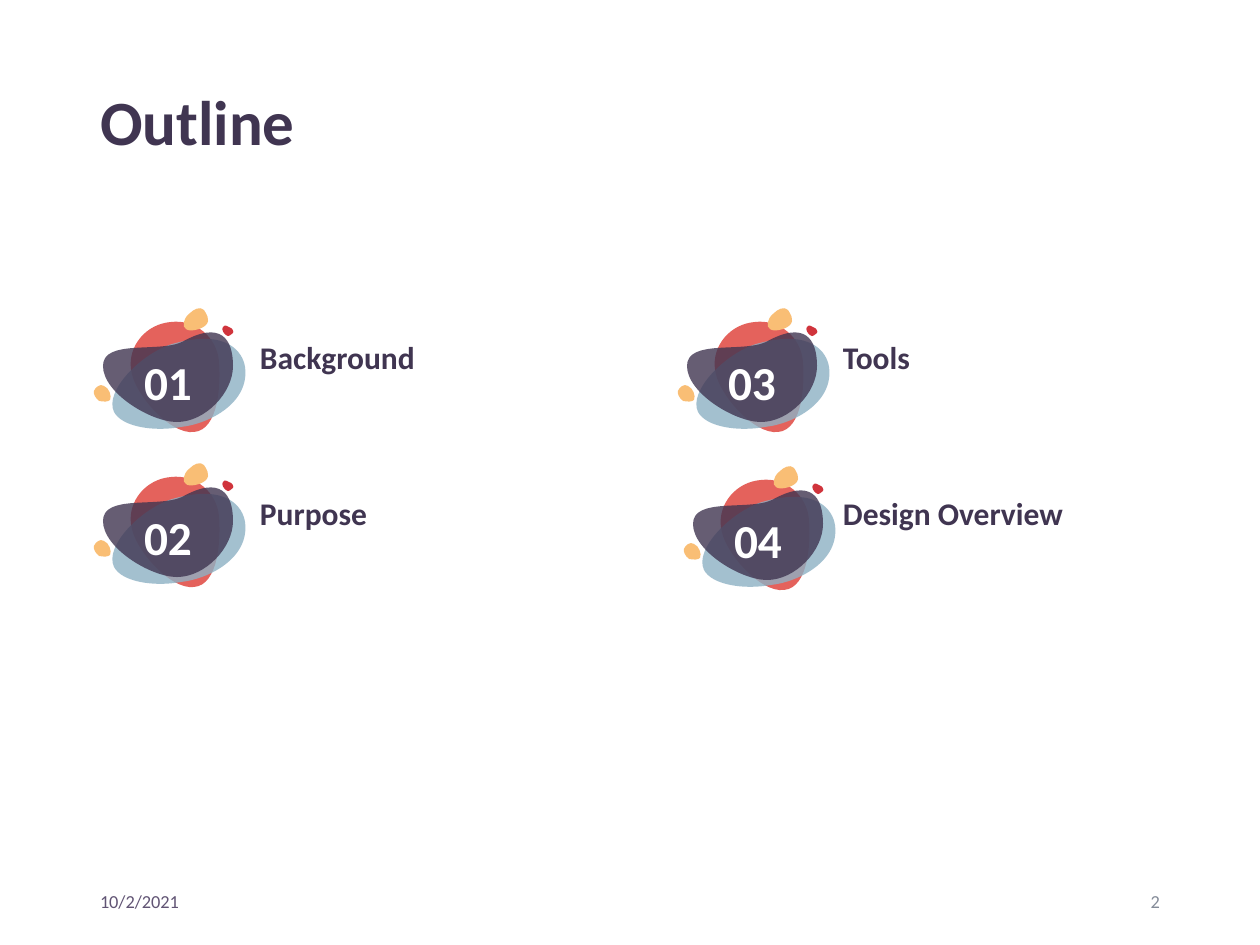
from lxml.etree import SubElement
from pptx import Presentation
from pptx.dml.color import RGBColor
from pptx.enum.text import MSO_ANCHOR, MSO_AUTO_SIZE, PP_ALIGN
from pptx.oxml.ns import qn
from pptx.util import Pt

PX = 914400 // 126

DARK = RGBColor(0x40, 0x35, 0x51)
CORAL = RGBColor(0xE4, 0x62, 0x5C)
BLUE = RGBColor(0x8D, 0xB1, 0xC4)
AMBER = RGBColor(0xF9, 0xBE, 0x75)
RED = RGBColor(0xD0, 0x34, 0x3C)
WHITE = RGBColor(0xFF, 0xFF, 0xFF)
PURPLE = RGBColor(0x61, 0x54, 0x74)
GREY = RGBColor(0x84, 0x8B, 0x98)

# Badge outlines: colour, opacity in percent, then a start point followed by
# two control points and an end point for each curve.
BLOBS = [
    (CORAL, 100, [(37, 60), (39, 84), (76, 126), (100, 123), (125, 121), (127, 74), (125, 52),
                  (123, 28), (101, 10), (77, 13), (52, 15), (34, 37), (37, 60)]),
    (BLUE, 80, [(20, 103), (28, 118), (60, 123), (87, 118), (115, 115), (156, 94), (151, 58),
                (149, 44), (134, 19), (78, 35), (47, 45), (10, 82), (20, 103)]),
    (DARK, 80, [(9, 57), (9, 84), (57, 113), (83, 113), (111, 113), (139, 84), (139, 57),
                (139, 30), (127, 11), (88, 33), (64, 44), (9, 30), (9, 57)]),
    (AMBER, 100, [(92, 20), (95, 23), (107, 21), (112, 16), (117, 11), (112, 4), (110, 1),
                  (106, -3), (100, 0), (95, 5), (89, 10), (88, 18), (92, 20)]),
    (AMBER, 100, [(16, 91), (18, 87), (15, 79), (10, 77), (6, 74), (1, 79), (0, 82),
                  (-1, 84), (1, 89), (5, 92), (10, 93), (14, 93), (16, 91)]),
    (RED, 100, [(129, 18), (127, 20), (130, 25), (132, 26), (135, 29), (137, 25), (139, 24),
                (140, 23), (139, 19), (135, 18), (132, 16), (129, 16), (129, 18)]),
]

# Number, label, badge corner, label corner
ITEMS = [
    ("01", "Background", (94, 309), (247, 319)),
    ("02", "Purpose", (94, 464), (247, 475)),
    ("03", "Tools", (678, 309), (830, 319)),
    ("04", "Design Overview", (684, 467), (830, 475)),
]


def write(sp, text, size, color, bold=False, align=PP_ALIGN.LEFT,
          anchor=MSO_ANCHOR.MIDDLE, insets=(13, 6, 13, 6)):
    """Put one formatted run into a shape and return its paragraph."""
    tf = sp.text_frame
    tf.word_wrap = True
    tf.auto_size = MSO_AUTO_SIZE.NONE
    tf.vertical_anchor = anchor
    tf.margin_left, tf.margin_top, tf.margin_right, tf.margin_bottom = [v * PX for v in insets]
    p = tf.paragraphs[0]
    p.alignment = align
    r = p.add_run()
    r.text = text
    r.font.name = "Calibri"
    r.font.size = Pt(size)
    r.font.bold = bold
    r.font.color.rgb = color
    return p


def add_blob(shapes, corner, points, color, opacity):
    """Draw a closed outline of cubic curves at a corner and return the shape."""
    knots = [(corner[0] + x, corner[1] + y) for x, y in points[::3]]
    builder = shapes.build_freeform(*knots[0], scale=PX)
    builder.add_line_segments(knots[1:], close=True)
    sp = builder.convert_to_shape()

    # Turn each straight segment into a curve with its two control points.
    left = min(x for x, y in points[::3])
    top = min(y for x, y in points[::3])
    segments = list(sp._element.iter(qn("a:lnTo")))
    for i, segment in enumerate(segments):
        segment.tag = qn("a:cubicBezTo")
        for child in list(segment):
            segment.remove(child)
        for x, y in points[3 * i + 1:3 * i + 4]:
            SubElement(segment, qn("a:pt"), x=str(x - left), y=str(y - top))

    sp.shadow.inherit = False
    sp.line.fill.background()
    sp.fill.solid()
    sp.fill.fore_color.rgb = color
    if opacity < 100:
        clr = next(sp._element.spPr.iter(qn("a:srgbClr")))
        SubElement(clr, qn("a:alpha"), val=str(opacity * 1000))
    return sp


prs = Presentation()
prs.slide_width, prs.slide_height = 1260 * PX, 945 * PX
s = prs.slides.add_slide(prs.slide_layouts[5])

title = s.shapes.title
title.left, title.top, title.width, title.height = [v * PX for v in (87, 47, 1086, 156)]
write(title, "Outline", 36, DARK, bold=True).line_spacing = 0.9

for number, label, badge_at, label_at in ITEMS:
    badge = s.shapes.add_group_shape()
    badge.name = f"Badge {number}"
    for color, opacity, points in BLOBS:
        sp = add_blob(badge.shapes, badge_at, points, color, opacity)
        if color == DARK:
            write(sp, number, 27, WHITE, True, PP_ALIGN.CENTER, insets=(4, 4, 4, 4))
    box = s.shapes.add_textbox(label_at[0] * PX, label_at[1] * PX, 309 * PX, 57 * PX)
    write(box, label, 18, DARK, True, anchor=MSO_ANCHOR.BOTTOM, insets=(13, 19, 13, 0))

for text, left, color, align in [("10/2/2021", 87, PURPLE, PP_ALIGN.LEFT),
                                 ("2", 890, GREY, PP_ALIGN.RIGHT)]:
    box = s.shapes.add_textbox(left * PX, 876 * PX, 283 * PX, 50 * PX)
    write(box, text, 10.5, color, align=align)

prs.save("out.pptx")
